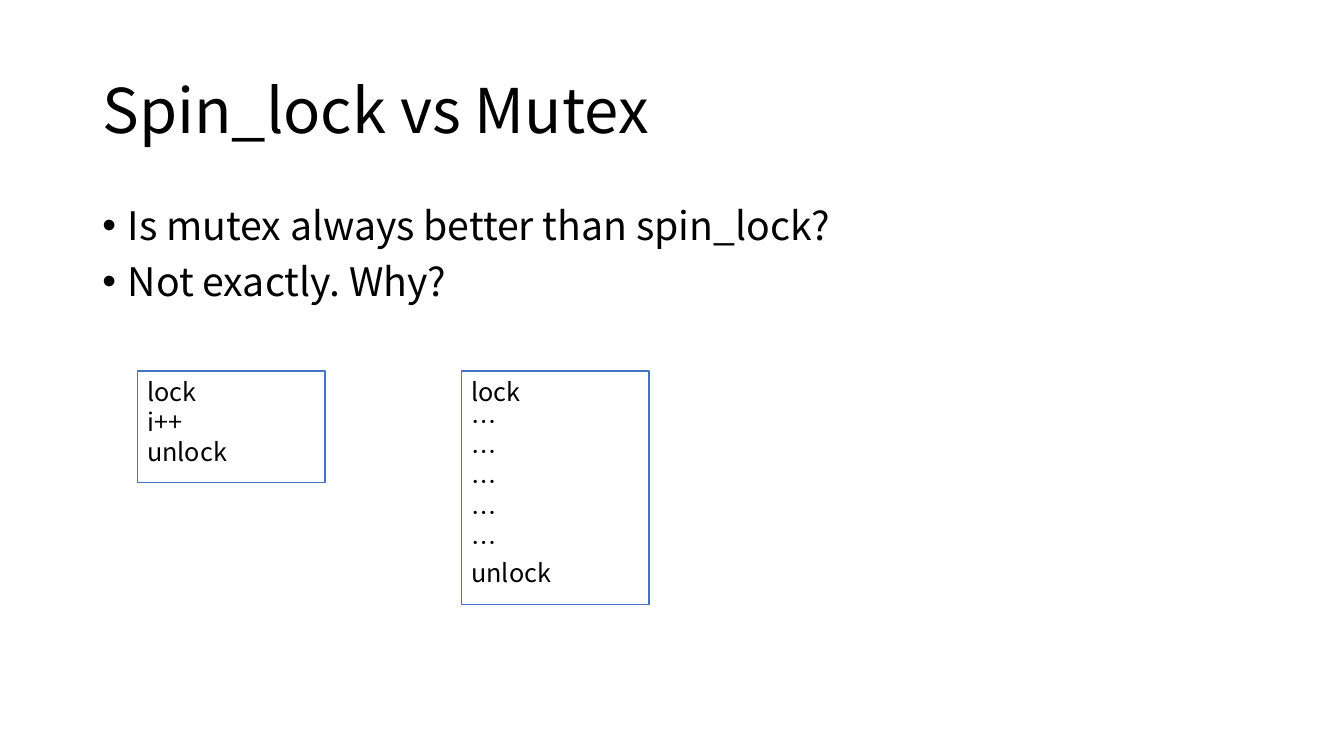
from lxml import etree
from pptx import Presentation
from pptx import util as u
from pptx.dml.color import RGBColor
from pptx.enum import shapes, text
from pptx.oxml.ns import qn

FONT = "Noto Sans CJK SC"
BLACK, WHITE, BLUE = "000000", "FFFFFF", "4472C4"

TITLE = "Spin_lock vs Mutex"
QUESTIONS = ["Is mutex always better than spin_lock?", "Not exactly. Why?"]
CRITICAL_SECTIONS = [
    ["lock", "i++", "unlock"],
    ["lock", *["…"] * 5, "unlock"],
]

MARGIN_LEFT, CONTENT_WIDTH = 2.33, 29.21
TITLE_TOP, TITLE_HEIGHT = 1.02, 3.68
BODY_TOP, BODY_HEIGHT = 5.07, 12.09
BOX_LEFT, BOX_TOP, BOX_WIDTH, BOX_STEP = 3.46, 9.35, 4.73, 8.17
BOX_PADDING, LINE_HEIGHT = 0.25, 0.77
BULLET_INDENT = 0.64


def color(value):
    return RGBColor.from_string(value)


def write(shape, lines, size, anchor=text.MSO_ANCHOR.TOP, line_spacing=1.0,
          space_before=0, bullet=None):
    frame = shape.text_frame
    frame.word_wrap = True
    frame.vertical_anchor = anchor
    for index, line in enumerate(lines):
        paragraph = frame.paragraphs[0] if index == 0 else frame.add_paragraph()
        paragraph.alignment = text.PP_ALIGN.LEFT
        paragraph.line_spacing = line_spacing
        paragraph.space_before = u.Pt(space_before)
        run = paragraph.add_run()
        run.text = line
        run.font.size = u.Pt(size)
        run.font.name = FONT
        run.font.color.rgb = color(BLACK)
        etree.SubElement(run.font._element, qn("a:ea"), typeface=FONT)
        if bullet:
            properties = paragraph._p.get_or_add_pPr()
            indent = u.Cm(BULLET_INDENT)
            properties.set("marL", str(indent))
            properties.set("indent", str(-indent))
            etree.SubElement(properties, qn("a:buFont"), typeface="Arial")
            etree.SubElement(properties, qn("a:buChar"), char=bullet)


def add_text(slide, top, height, lines, size, **formatting):
    box = slide.shapes.add_textbox(
        u.Cm(MARGIN_LEFT), u.Cm(top), u.Cm(CONTENT_WIDTH), u.Cm(height))
    write(box, lines, size, line_spacing=0.9, **formatting)


def add_code_box(slide, left, lines):
    height = 2 * BOX_PADDING + LINE_HEIGHT * len(lines)
    box = slide.shapes.add_shape(
        shapes.MSO_SHAPE.RECTANGLE,
        u.Cm(left), u.Cm(BOX_TOP), u.Cm(BOX_WIDTH), u.Cm(height))
    box.shadow.inherit = False
    box.fill.solid()
    box.fill.fore_color.rgb = color(WHITE)
    box.line.color.rgb = color(BLUE)
    box.line.width = u.Pt(1)
    write(box, lines, 18)
    box.text_frame.auto_size = text.MSO_AUTO_SIZE.SHAPE_TO_FIT_TEXT


def main():
    presentation = Presentation()
    presentation.slide_width = u.Cm(33.87)
    presentation.slide_height = u.Cm(19.05)
    slide = presentation.slides.add_slide(presentation.slide_layouts[6])
    add_text(slide, TITLE_TOP, TITLE_HEIGHT, [TITLE], 44,
             anchor=text.MSO_ANCHOR.MIDDLE)
    add_text(slide, BODY_TOP, BODY_HEIGHT, QUESTIONS, 28,
             space_before=10, bullet="•")
    for index, lines in enumerate(CRITICAL_SECTIONS):
        add_code_box(slide, BOX_LEFT + index * BOX_STEP, lines)
    presentation.save("out.pptx")


if __name__ == "__main__":
    main()
